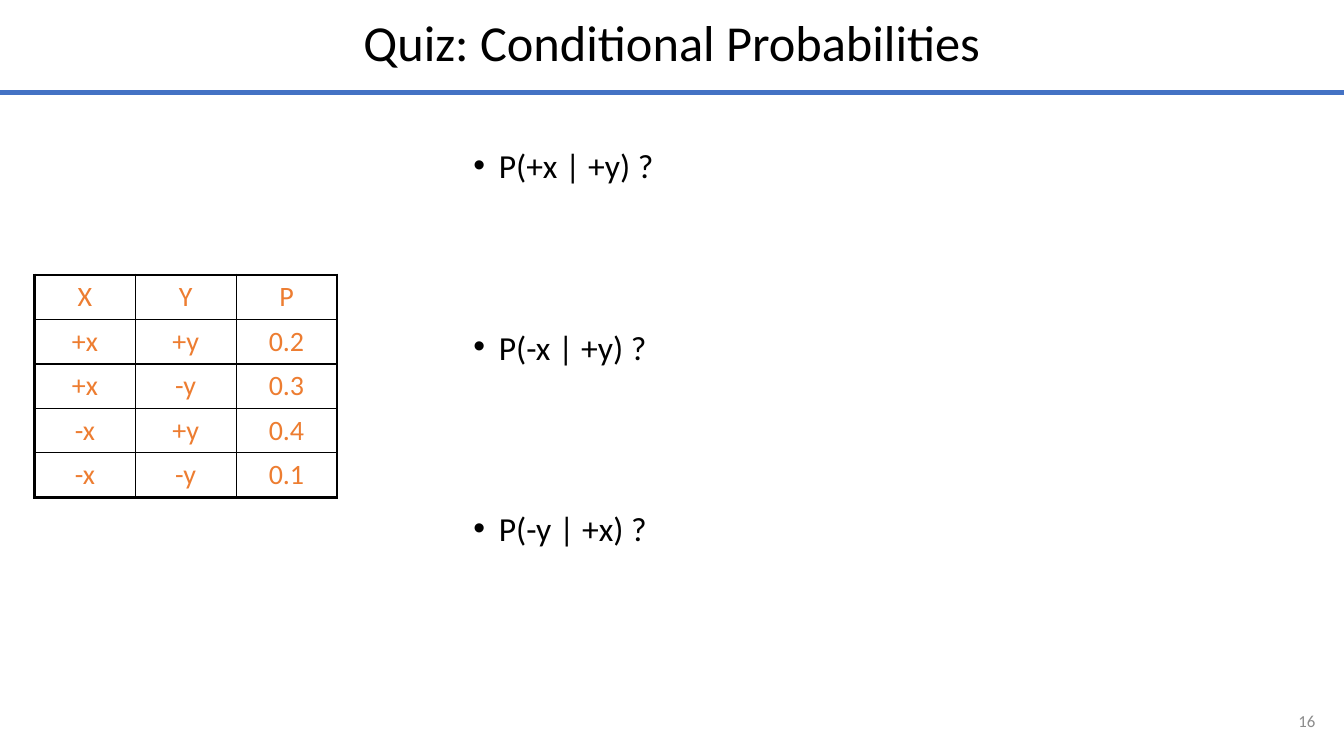
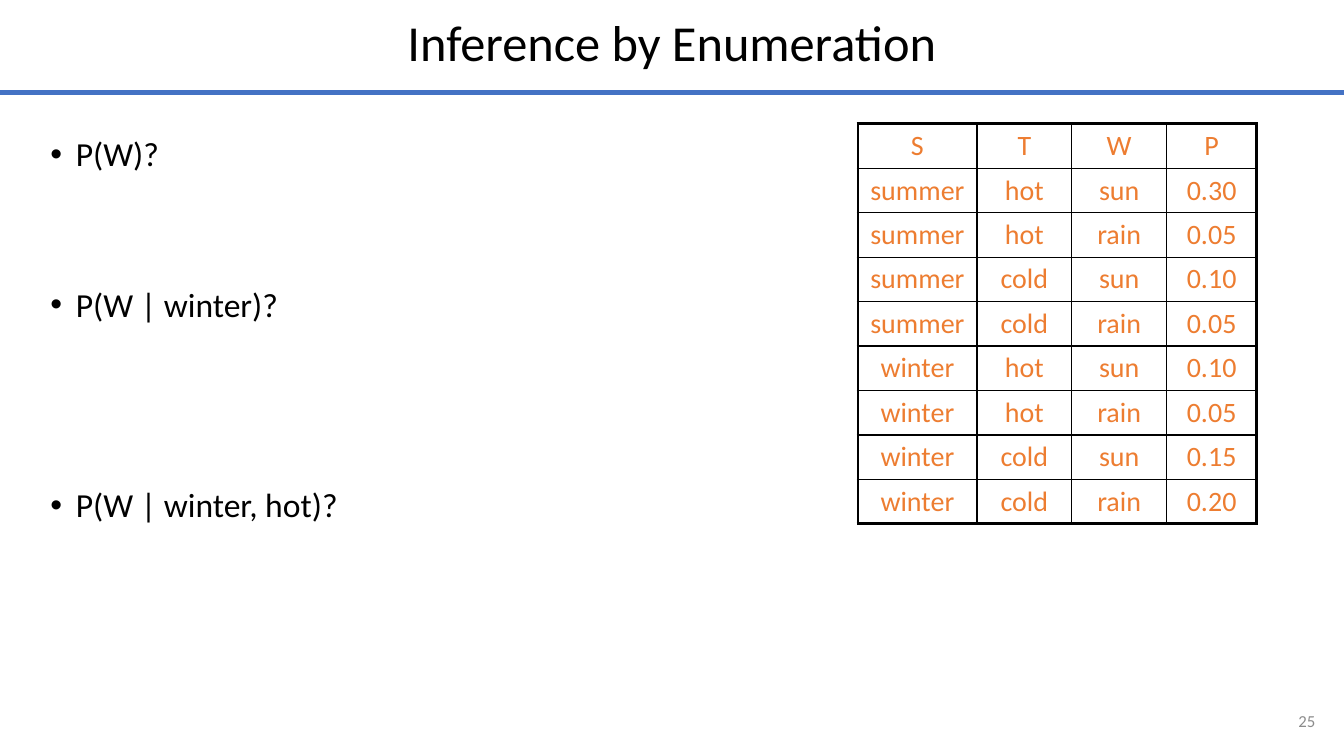
from lxml.etree import SubElement
from pptx import Presentation
from pptx.dml.color import RGBColor
from pptx.enum.shapes import MSO_CONNECTOR
from pptx.enum.text import MSO_ANCHOR as Anchor, PP_ALIGN as Align
from pptx.oxml import parse_xml
from pptx.oxml.ns import nsdecls, qn
from pptx.util import Cm, Pt

COLORS = {"text": "000000", "rule": "4472C4", "number": "8C8C8C",
          "table": "ED7D31", "border": "000000"}
FONT = "Calibri"
SLIDE_W, SLIDE_H = 33.87, 19.05
TITLE_BOX = (0, 0, SLIDE_W, 2.29)
RULE_Y = 2.34
NUMBER_BOX = (31.67, 17.65, 1.73, 1.02)
ROW_H = 1.12
BULLET_INDENT = 0.64
OUTER_BORDER, INNER_BORDER = 2.25, 1


def write(paragraph, text, size, color="text", align=Align.LEFT,
          line_spacing=None, space_before=0, bullet=False):
    if bullet:
        properties = paragraph._p.get_or_add_pPr()
        properties.set("marL", str(Cm(BULLET_INDENT)))
        properties.set("indent", str(-Cm(BULLET_INDENT)))
        SubElement(properties, qn("a:buFont"), typeface="Arial")
        SubElement(properties, qn("a:buChar"), char="•")
    paragraph.alignment = align
    if line_spacing:
        paragraph.line_spacing = line_spacing
    if space_before:
        paragraph.space_before = Pt(space_before)
    run = paragraph.add_run()
    run.text = text
    run.font.name = FONT
    run.font.size = Pt(size)
    run.font.color.rgb = RGBColor.from_string(COLORS[color])


def add_frame(slide, box, anchor=Anchor.TOP):
    frame = slide.shapes.add_textbox(*map(Cm, box)).text_frame
    frame.word_wrap = True
    frame.vertical_anchor = anchor
    return frame


def add_title_band(slide, title):
    frame = add_frame(slide, TITLE_BOX, Anchor.MIDDLE)
    write(frame.paragraphs[0], title, 36, align=Align.CENTER, line_spacing=0.9)
    rule = slide.shapes.add_connector(
        MSO_CONNECTOR.STRAIGHT, 0, Cm(RULE_Y), Cm(SLIDE_W), Cm(RULE_Y))
    rule.line.color.rgb = RGBColor.from_string(COLORS["rule"])
    rule.line.width = Pt(3.75)
    SubElement(rule._element.spPr, qn("a:effectLst"))


def add_slide_number(slide, number):
    frame = add_frame(slide, NUMBER_BOX, Anchor.MIDDLE)
    write(frame.paragraphs[0], str(number), 12, "number", Align.RIGHT)


def add_questions(slide, box, questions, line_spacing):
    """Place (question, points of answer space above it) pairs as bullets."""
    frame = add_frame(slide, box)
    for index, (question, gap) in enumerate(questions):
        paragraph = frame.add_paragraph() if index else frame.paragraphs[0]
        write(paragraph, question, 24, line_spacing=line_spacing,
              space_before=gap, bullet=True)


def set_borders(cell, widths):
    """Set borders from a dict of side letter (L, R, T, B) to points."""
    properties = cell._tc.get_or_add_tcPr()
    for index, (side, width) in enumerate(widths.items()):
        properties.insert(index, parse_xml(
            f'<a:ln{side} {nsdecls("a")} w="{Pt(width)}"><a:solidFill>'
            f'<a:srgbClr val="{COLORS["border"]}"/></a:solidFill></a:ln{side}>'))


def add_distribution(slide, left, top, column_widths, rows):
    """Draw a joint distribution with a heavy frame and a thin inner grid."""
    last_row, last_column = len(rows) - 1, len(column_widths) - 1
    table = slide.shapes.add_table(
        len(rows), len(column_widths), Cm(left), Cm(top),
        Cm(sum(column_widths)), Cm(ROW_H * len(rows))).table
    table.first_row = table.horz_banding = False
    for column, width in zip(table.columns, column_widths):
        column.width = Cm(width)
    for r, values in enumerate(rows):
        table.rows[r].height = Cm(ROW_H)
        for c, value in enumerate(values):
            cell = table.cell(r, c)
            cell.fill.background()
            write(cell.text_frame.paragraphs[0], value, 20, "table", Align.CENTER)
            on_frame = {"L": c == 0, "R": c == last_column,
                        "T": r == 0, "B": r == last_row}
            set_borders(cell, {side: OUTER_BORDER if outer else INNER_BORDER
                               for side, outer in on_frame.items()})


def start_slide(deck, title, number):
    slide = deck.slides.add_slide(deck.slide_layouts[6])
    add_title_band(slide, title)
    add_slide_number(slide, number)
    return slide


def build_quiz(deck):
    slide = start_slide(deck, "Quiz: Conditional Probabilities", 16)
    add_distribution(slide, 0.87, 6.93, [2.54] * 3, [
        ("X", "Y", "P"),
        ("+x", "+y", "0.2"),
        ("+x", "-y", "0.3"),
        ("-x", "+y", "0.4"),
        ("-x", "-y", "0.1"),
    ])
    add_questions(slide, (11.68, 3.73, 16.48, 14.22), [
        ("P(+x | +y) ?", 0),
        ("P(-x | +y) ?", 106.5),
        ("P(-y | +x) ?", 106.5),
    ], line_spacing=0.8)


def build_enumeration(deck):
    slide = start_slide(deck, "Inference by Enumeration", 25)
    add_questions(slide, (1.02, 3.35, 11.63, 12.57), [
        ("P(W)?", 0),
        ("P(W | winter)?", 81.5),
        ("P(W | winter, hot)?", 117),
    ], line_spacing=0.9)
    add_distribution(slide, 21.62, 3.12, [3, 2.39, 2.39, 2.27], [
        ("S", "T", "W", "P"),
        ("summer", "hot", "sun", "0.30"),
        ("summer", "hot", "rain", "0.05"),
        ("summer", "cold", "sun", "0.10"),
        ("summer", "cold", "rain", "0.05"),
        ("winter", "hot", "sun", "0.10"),
        ("winter", "hot", "rain", "0.05"),
        ("winter", "cold", "sun", "0.15"),
        ("winter", "cold", "rain", "0.20"),
    ])


def main():
    deck = Presentation()
    deck.slide_width, deck.slide_height = Cm(SLIDE_W), Cm(SLIDE_H)
    build_quiz(deck)
    build_enumeration(deck)
    deck.save("out.pptx")


if __name__ == "__main__":
    main()
